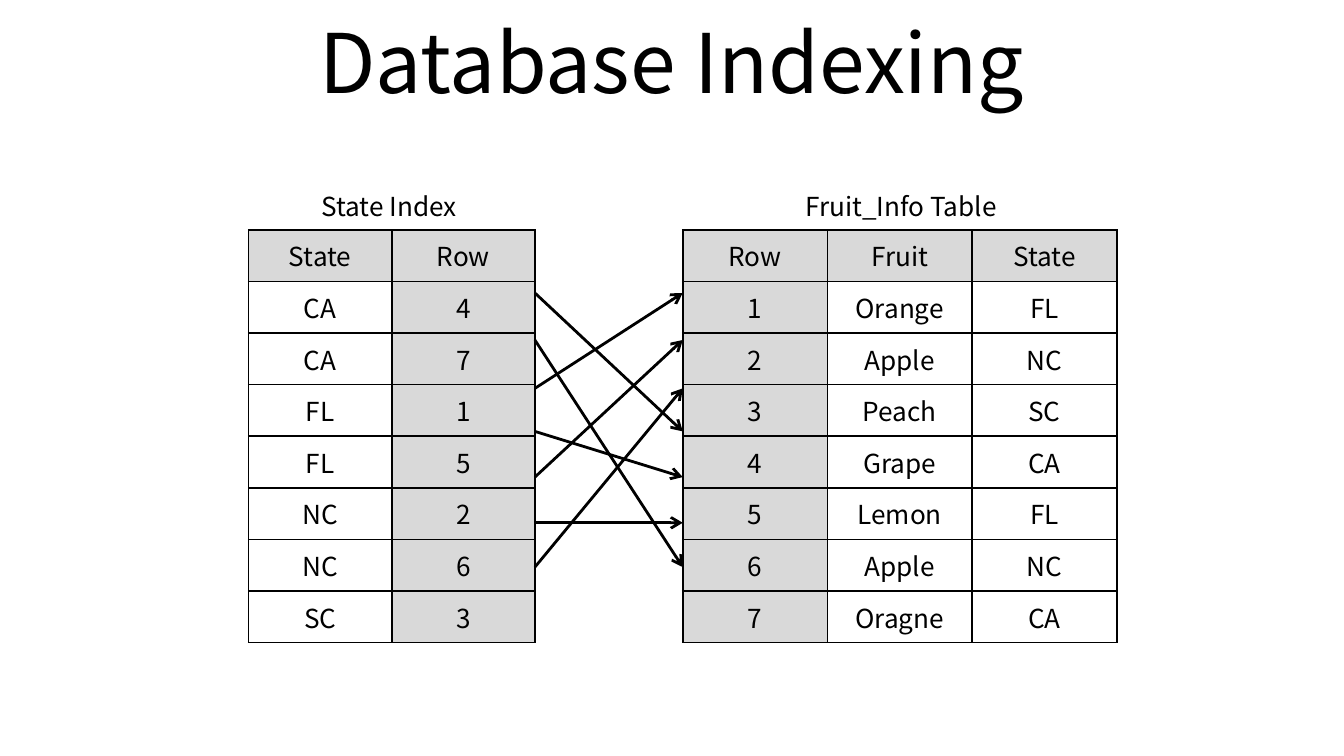
from lxml import etree
from pptx import Presentation
from pptx.dml.color import RGBColor
from pptx.enum.shapes import MSO_CONNECTOR as Connector
from pptx.enum.text import MSO_ANCHOR as Anchor, MSO_AUTO_SIZE as AutoSize, PP_ALIGN as Align
from pptx.oxml.ns import qn
from pptx.util import Inches, Pt

FONT = "Noto Sans CJK KR"
BLACK, GRAY = "000000", "D9D9D9"


def color(hex_string):
    return RGBColor.from_string(hex_string)


def write(frame, text, size=14, fill=BLACK, align=Align.CENTER):
    paragraph = frame.paragraphs[0]
    paragraph.alignment = align
    run = paragraph.add_run()
    run.text = text
    run.font.name, run.font.size = FONT, Pt(size)
    run.font.color.rgb = color(fill)
    for tag in ("a:ea", "a:cs"):
        etree.SubElement(run.font._element, qn(tag), typeface=FONT)


class SlideBuilder:
    def __init__(self, slide, line_color=BLACK, shade=GRAY):
        self.slide, self.line_color, self.shade = slide, line_color, shade

    def text(self, text, left, top, width, height, anchor=Anchor.TOP,
             auto_size=AutoSize.SHAPE_TO_FIT_TEXT, **style):
        shape = self.slide.shapes.add_textbox(*map(Inches, (left, top, width, height)))
        frame = shape.text_frame
        frame.word_wrap, frame.auto_size = True, auto_size
        frame.vertical_anchor = anchor
        write(frame, text, **style)

    def border(self, cell):
        properties = cell._tc.get_or_add_tcPr()
        for side in ("a:lnL", "a:lnR", "a:lnT", "a:lnB"):
            line = etree.SubElement(properties, qn(side), w=str(Pt(1)))
            fill = etree.SubElement(line, qn("a:solidFill"))
            etree.SubElement(fill, qn("a:srgbClr"), val=self.line_color)

    def table(self, rows, left, top, width, height, row_height, shaded_column):
        shape = self.slide.shapes.add_table(
            len(rows), len(rows[0]), *map(Inches, (left, top, width, height)))
        table = shape.table
        table.first_row = table.horz_banding = False
        for r, values in enumerate(rows):
            table.rows[r].height = Inches(row_height)
            for c, value in enumerate(values):
                cell = table.cell(r, c)
                write(cell.text_frame, value)
                self.border(cell)
                if r == 0 or c == shaded_column:
                    cell.fill.solid()
                    cell.fill.fore_color.rgb = color(self.shade)
                else:
                    cell.fill.background()
        shape.height = Inches(height)

    def arrow(self, x1, y1, x2, y2):
        connector = self.slide.shapes.add_connector(
            Connector.STRAIGHT, *map(Inches, (x1, y1, x2, y2)))
        connector.line.color.rgb = color(self.line_color)
        connector.line.width = Pt(1.5)
        etree.SubElement(connector.line._get_or_add_ln(), qn("a:tailEnd"), type="arrow")
        etree.SubElement(connector._element.spPr, qn("a:effectLst"))


STATE_INDEX = [("CA", 4), ("CA", 7), ("FL", 1), ("FL", 5), ("NC", 2), ("NC", 6), ("SC", 3)]
FRUITS = [("Orange", "FL"), ("Apple", "NC"), ("Peach", "SC"), ("Grape", "CA"),
          ("Lemon", "FL"), ("Apple", "NC"), ("Oragne", "CA")]
ARROW_LEVELS = [2.18, 2.53, 2.89, 3.21, 3.55, 3.89, 4.22]
TABLE_TOP, TABLE_HEIGHT, ROW_HEIGHT = 1.71, 2.67, 0.25
INDEX_LEFT, INDEX_WIDTH = 1.85, 2.13
FRUIT_LEFT, FRUIT_WIDTH = 5.08, 3.23


def main():
    presentation = Presentation()
    presentation.slide_width = Inches(10)
    presentation.slide_height = presentation.slide_width * 9 // 16
    builder = SlideBuilder(presentation.slides.add_slide(presentation.slide_layouts[6]))

    # Title
    builder.text("Database Indexing", 0.5, -0.02, 9, 0.94, anchor=Anchor.MIDDLE,
                 auto_size=AutoSize.NONE, size=44)

    # Tables
    index_rows = [("State", "Row")] + [(state, str(row)) for state, row in STATE_INDEX]
    fruit_rows = [("Row", "Fruit", "State")]
    fruit_rows += [(str(row), *fruit) for row, fruit in enumerate(FRUITS, 1)]
    builder.table(index_rows, INDEX_LEFT, TABLE_TOP, INDEX_WIDTH, TABLE_HEIGHT,
                  ROW_HEIGHT, shaded_column=1)
    builder.table(fruit_rows, FRUIT_LEFT, TABLE_TOP, FRUIT_WIDTH, TABLE_HEIGHT,
                  ROW_HEIGHT, shaded_column=0)

    # Arrows from each index entry to the row it names
    for level, (_, row) in zip(ARROW_LEVELS, STATE_INDEX):
        builder.arrow(INDEX_LEFT + INDEX_WIDTH, level, FRUIT_LEFT, ARROW_LEVELS[row - 1])

    # Table captions
    builder.text("State Index", 2.13, 1.37, 1.53, 0.34)
    builder.text("Fruit_Info Table", 5.66, 1.37, 2.09, 0.34)

    presentation.save("out.pptx")


if __name__ == "__main__":
    main()
